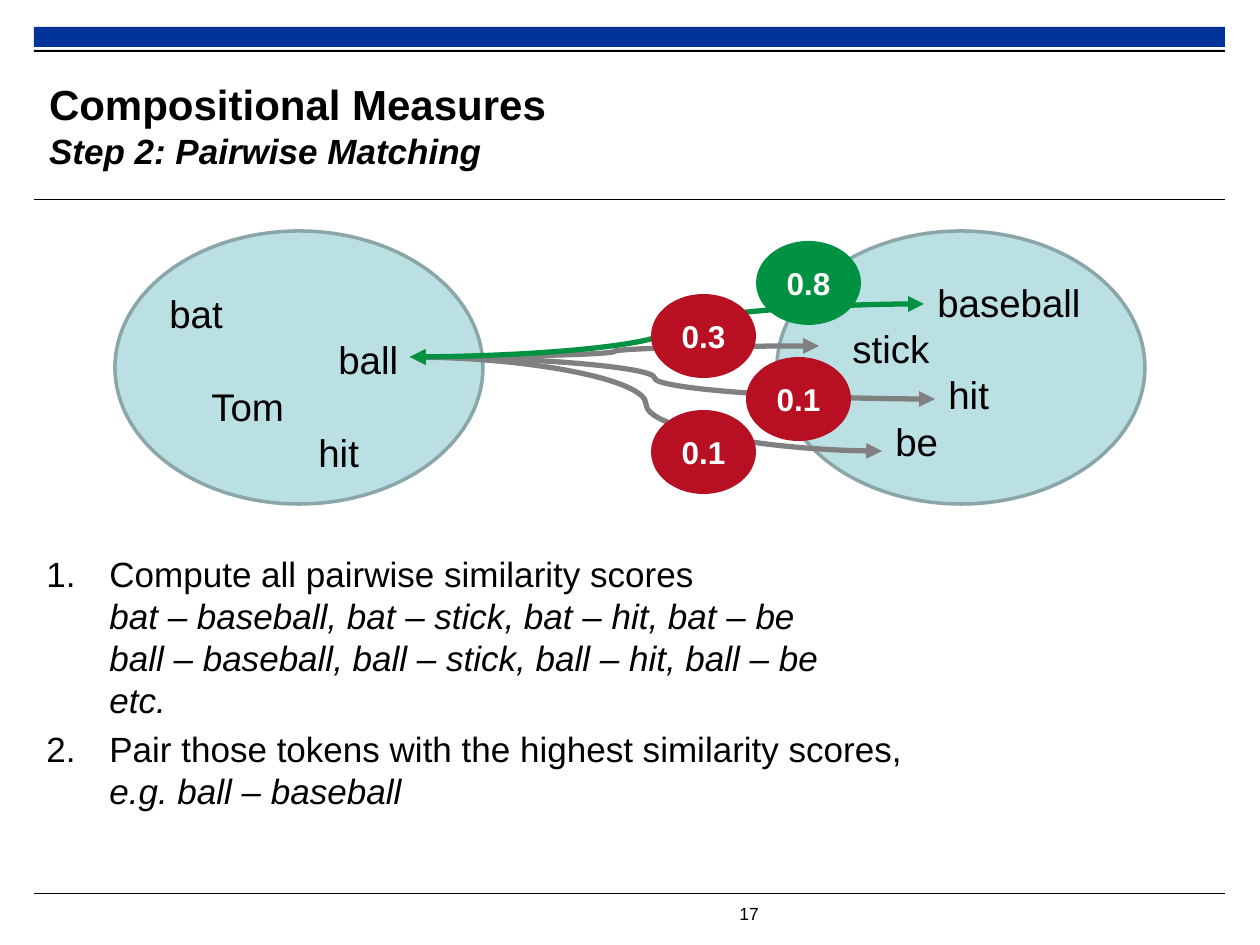
"""Build the slide on pairwise matching of tokens."""
from pptx import Presentation, util as u
from pptx.dml.color import RGBColor
from pptx.enum import shapes, text
from pptx.oxml.ns import qn
from lxml import etree

PX = 914400 // 126
FONT = "Arial"
COLORS = {
    "black": "000000", "white": "FFFFFF", "bar": "003399", "set": "BBE0E3",
    "set_line": "8AA6A8", "grey": "808080", "green": "009242", "red": "B90F22",
}


def px(*lengths):
    """Turn pixel lengths into EMU."""
    return [length * PX for length in lengths]


def color(name):
    """Look up a colour by name."""
    return RGBColor.from_string(COLORS[name])


def write(paragraph, words, size, bold=False, italic=False, ink="black"):
    """Add words to a paragraph, with a line break at each newline."""
    for index, line in enumerate(words.split("\n")):
        if index:
            paragraph.add_line_break()
        if line:
            run = paragraph.add_run()
            run.text = line
            font = run.font
            font.name, font.size = FONT, u.Pt(size)
            font.bold, font.italic = bold, italic
            font.color.rgb = color(ink)


def add_box(slide, *box):
    """Add a wrapping text box and return its frame."""
    frame = slide.shapes.add_textbox(*px(*box)).text_frame
    frame.word_wrap = True
    return frame


def next_paragraph(frame, index):
    """Return the first paragraph, or a new one after it."""
    return frame.add_paragraph() if index else frame.paragraphs[0]


def add_filled(slide, kind, box, fill, outline=None):
    """Add a flat filled preset shape."""
    shape = slide.shapes.add_shape(kind, *px(*box))
    shape.shadow.inherit = False
    shape.fill.solid()
    shape.fill.fore_color.rgb = color(fill)
    if outline:
        shape.line.color.rgb = color(outline)
        shape.line.width = u.Pt(2)
    else:
        shape.line.fill.background()
    return shape


def add_line(slide, kind, start, end, ink, width):
    """Add a connector without a shadow."""
    line = slide.shapes.add_connector(kind, *px(*start, *end))
    line.line.color.rgb = color(ink)
    line.line.width = u.Pt(width)
    etree.SubElement(line._element.spPr, qn("a:effectLst"))
    return line


def add_match(slide, end, ink, bend=50000):
    """Add a curved double arrow from the token ball to a token."""
    line = add_line(slide, shapes.MSO_CONNECTOR.CURVE, (410, 357), end, ink, 3)
    for tag in ("a:headEnd", "a:tailEnd"):
        etree.SubElement(line.line._get_or_add_ln(), qn(tag), type="triangle")
    guides = line._element.spPr.find(qn("a:prstGeom")).get_or_add_avLst()
    etree.SubElement(guides, qn("a:gd"), name="adj1", fmla=f"val {bend}")


def add_score(slide, left, top, score, fill):
    """Add an ellipse that holds a similarity score."""
    shape = add_filled(slide, shapes.MSO_SHAPE.OVAL, (left, top, 105, 84), fill)
    frame = shape.text_frame
    frame.vertical_anchor = text.MSO_ANCHOR.MIDDLE
    frame.paragraphs[0].alignment = text.PP_ALIGN.CENTER
    write(frame.paragraphs[0], score, 18, bold=True, ink="white")


def add_token_set(slide, left, words_top, tokens):
    """Add a large ellipse with its indented tokens."""
    add_filled(slide, shapes.MSO_SHAPE.OVAL, (left, 231, 368, 273), "set", "set_line")
    frame = add_box(slide, left + 42, words_top, 294, 199)
    for index, (token, indent) in enumerate(tokens):
        paragraph = next_paragraph(frame, index)
        paragraph.line_spacing = u.Pt(26.4)
        paragraph._p.get_or_add_pPr().set("marL", str(indent * PX))
        write(paragraph, token, 22)


def add_steps(slide, steps):
    """Add the numbered steps, each with its examples in italics."""
    frame = add_box(slide, 34, 546, 1191, 334)
    for index, (step, examples) in enumerate(steps):
        paragraph = next_paragraph(frame, index)
        properties = paragraph._p.get_or_add_pPr()
        properties.set("marL", str(63 * PX))
        properties.set("indent", str(-63 * PX))
        etree.SubElement(properties, qn("a:buFont"), typeface="+mj-lt")
        etree.SubElement(properties, qn("a:buAutoNum"), type="arabicPeriod")
        paragraph.line_spacing = u.Pt(24)
        if index:
            paragraph.space_before = u.Pt(4)
        write(paragraph, step + "\n", 20)
        write(paragraph, examples, 20, italic=True)


def add_title(slide):
    """Place and fill the title."""
    title = slide.shapes.title
    title.left, title.top, title.width, title.height = px(49, 67, 896, 116)
    frame = title.text_frame
    frame.margin_left = frame.margin_right = frame.margin_top = frame.margin_bottom = 0
    frame.vertical_anchor = text.MSO_ANCHOR.MIDDLE
    paragraph = frame.paragraphs[0]
    paragraph.alignment = text.PP_ALIGN.LEFT
    write(paragraph, "Compositional Measures\n", 24, bold=True)
    write(paragraph, "Step 2: Pairwise Matching", 20, bold=True, italic=True)


def add_frame(slide):
    """Add the bars, the rules and the page number."""
    for top, height, fill in ((27, 20, "bar"), (50, 2, "black")):
        add_filled(slide, shapes.MSO_SHAPE.RECTANGLE, (34, top, 1191, height), fill)
    for y in (200, 894):
        add_line(slide, shapes.MSO_CONNECTOR.STRAIGHT, (34, y), (1225, y), "black", 0.6)
    write(add_box(slide, 727, 897, 60, 34).paragraphs[0], "17", 10)


def main():
    """Build and save the slide."""
    presentation = Presentation()
    presentation.slide_width, presentation.slide_height = px(1260, 945)
    slide = presentation.slides.add_slide(presentation.slide_layouts[5])
    add_frame(slide)
    add_title(slide)
    add_steps(slide, [
        ("Compute all pairwise similarity scores",
         "bat – baseball, bat – stick, bat – hit, bat – be\n"
         "ball – baseball, ball – stick, ball – hit, ball – be\netc."),
        ("Pair those tokens with the highest similarity scores,",
         "e.g. ball – baseball"),
    ])
    add_token_set(slide, 115, 284,
                  [("bat", 0), ("ball", 169), ("Tom", 42), ("hit", 149)])
    add_token_set(slide, 777, 273,
                  [("baseball", 106), ("stick", 21), ("hit", 117), ("be", 64)])
    add_match(slide, (819, 346), "grey")
    add_match(slide, (935, 399), "grey", bend=46600)
    add_match(slide, (882, 451), "grey")
    add_match(slide, (924, 304), "green")
    add_score(slide, 756, 241, "0.8", "green")
    for left, top, score in ((651, 294, "0.3"), (746, 357, "0.1"), (651, 410, "0.1")):
        add_score(slide, left, top, score, "red")
    presentation.save("out.pptx")


if __name__ == "__main__":
    main()
